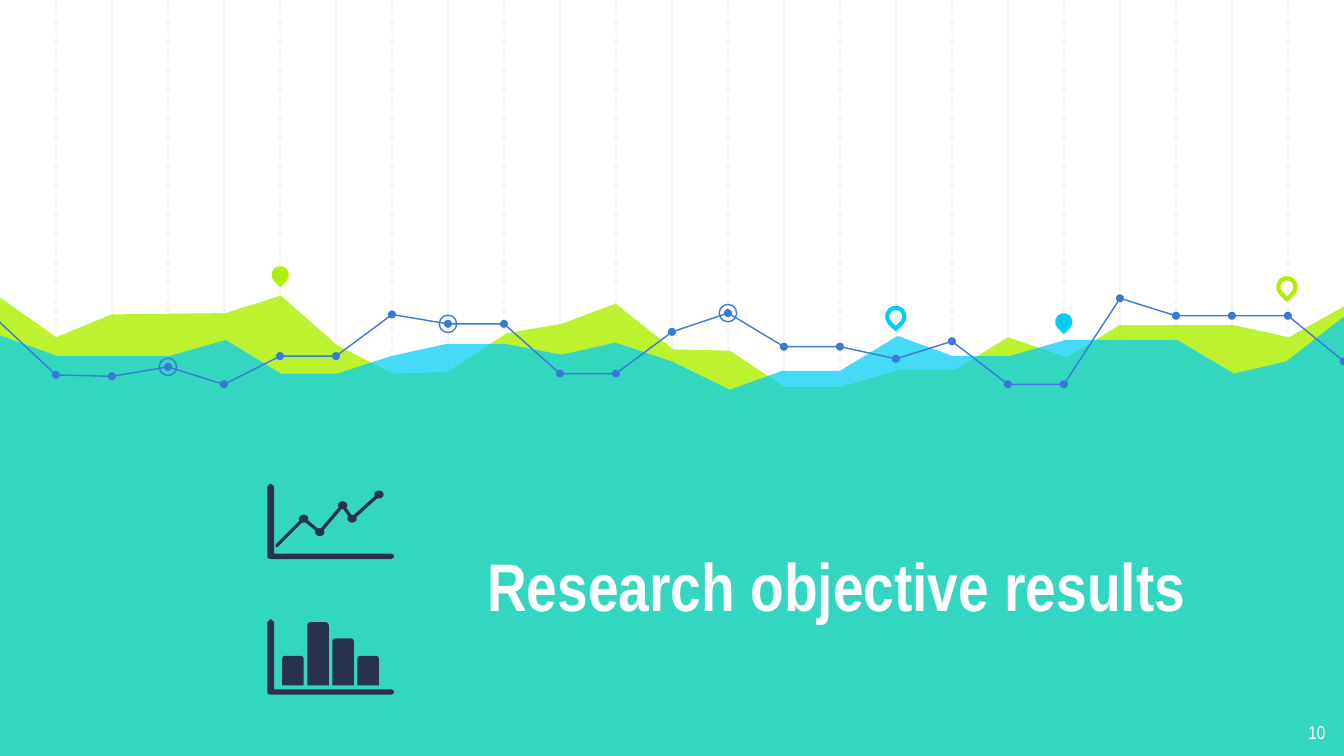
import lxml.etree
import pptx
import pptx.dml.color
import pptx.enum.dml
import pptx.enum.shapes
import pptx.enum.text
import pptx.oxml.ns
import pptx.util

Inches = pptx.util.Inches
Pt = pptx.util.Pt
qn = pptx.oxml.ns.qn
KIND = pptx.enum.shapes.MSO_SHAPE
LIME, CYAN, BLUE, NAVY = "AFF000", "00CEF6", "3C78D8", "28324A"

deck = pptx.Presentation()
deck.slide_width = Inches(10)
deck.slide_height = Inches(10 * 9 / 16)
slide = deck.slides.add_slide(deck.slide_layouts[6])
shapes = slide.shapes


def color(text):
    return pptx.dml.color.RGBColor.from_string(text)


def paint(shape, fill=None, line=None, width=0.75):
    shape.shadow.inherit = False
    if fill:
        shape.fill.solid()
        shape.fill.fore_color.rgb = color(fill)
    else:
        shape.fill.background()
    if line:
        shape.line.color.rgb = color(line)
        shape.line.width = Pt(width)
    else:
        shape.line.fill.background()
    return shape


step = 5 / 12
base = 5.65

for first, dash in ((2, False), (1, True)):
    for i in range(first, 24, 2):
        x = Inches(i * step)
        grid = shapes.add_connector(pptx.enum.shapes.MSO_CONNECTOR.STRAIGHT, x, 0, x, Inches(base))
        grid.line.color.rgb = color("F3F3F3")
        grid.line.width = Pt(0.75)
        if dash:
            grid.line.dash_style = pptx.enum.dml.MSO_LINE.DASH
        lxml.etree.SubElement(grid._element.spPr, qn("a:effectLst"))

lime = [(-0.02, 2.2), (0.42, 2.51), (0.83, 2.34), (1.68, 2.33), (2.09, 2.2), (2.51, 2.57),
        (2.92, 2.78), (3.33, 2.77), (3.77, 2.48), (4.18, 2.41), (4.58, 2.26), (5.01, 2.6),
        (5.43, 2.61), (5.84, 2.88), (6.26, 2.88), (6.7, 2.75), (7.11, 2.75), (7.5, 2.51),
        (7.94, 2.66), (8.33, 2.42), (9.18, 2.42), (9.59, 2.51), (10.02, 2.27)]
cyan = [(-0.02, 2.49), (0.43, 2.65), (1.26, 2.65), (1.68, 2.53), (2.09, 2.78), (2.51, 2.78),
        (2.91, 2.65), (3.32, 2.56), (3.76, 2.56), (4.18, 2.64), (4.58, 2.55), (5, 2.69),
        (5.43, 2.9), (5.82, 2.76), (6.25, 2.76), (6.68, 2.5), (7.09, 2.65), (7.51, 2.65),
        (7.93, 2.53), (8.76, 2.53), (9.18, 2.78), (9.57, 2.69), (10.02, 2.34)]
floor = [(10.04, 5.67), (-0.03, 5.67)]

levels = [2.79, 2.8, 2.73, 2.86, 2.65, 2.65, 2.34, 2.41, 2.41, 2.78, 2.78, 2.47,
          2.33, 2.58, 2.58, 2.67, 2.54, 2.86, 2.86, 2.22, 2.35, 2.35, 2.35, 2.69]
trend = [(-0.01, 2.39)] + [(i * step, y) for i, y in enumerate(levels, 1)]

axis = [(0.02, 0), (0, 0.02), (0, 0.55), (0.02, 0.56), (0.92, 0.56), (0.94, 0.55),
        (0.94, 0.53), (0.92, 0.52), (0.05, 0.52), (0.05, 0.02), (0.03, 0)]
graph = [(2.06, 4.06), (2.26, 3.86), (2.38, 3.96), (2.55, 3.76), (2.62, 3.86), (2.82, 3.68)]

paths = [(lime + floor, LIME, None, 0, 82), (cyan + floor, CYAN, None, 0, 73)]
for start, end in ((0, 11), (11, 20), (20, 24)):
    paths.append((trend[start:end + 1], None, BLUE, 0.75, 100))
for top in (3.6, 4.61):
    paths.append(([(1.99 + x, top + y) for x, y in axis], NAVY, None, 0, 100))
paths.append((graph, None, NAVY, 1.75, 100))

for points, fill, line, width, alpha in paths:
    spots = [(Inches(x), Inches(y)) for x, y in points]
    pen = shapes.build_freeform(*spots[0])
    pen.add_line_segments(spots[1:], close=fill is not None)
    form = paint(pen.convert_to_shape(), fill, line, width)
    if alpha < 100:
        tint = form._element.spPr.find(qn("a:solidFill"))[0]
        lxml.etree.SubElement(tint, qn("a:alpha"), val=str(alpha * 1000))
    if line == NAVY:
        edge = form.line._get_or_add_ln()
        edge.set("cap", "rnd")
        lxml.etree.SubElement(edge, qn("a:round"))

dots = [(x, y, 0.06, 0.06, BLUE, None) for x, y in trend[1:]]
dots += [(*trend[i], 0.13, 0.13, None, BLUE) for i in (3, 8, 13)]
dots += [(x, y, 0.07, 0.06, NAVY, None) for x, y in graph[1:]]
for x, y, wide, high, fill, line in dots:
    dot = shapes.add_shape(KIND.OVAL, Inches(x - wide / 2), Inches(y - high / 2),
                           Inches(wide), Inches(high))
    paint(dot, fill, line)

for x, y, fill, line in ((2.02, 1.98, LIME, None), (6.6, 2.29, None, CYAN),
                         (7.85, 2.33, CYAN, None), (9.51, 2.07, None, LIME)):
    pin = shapes.add_shape(KIND.TEAR, Inches(x), Inches(y), Inches(0.13), Inches(0.13))
    pin.rotation = 135
    paint(pin, fill, line, 2.25)

for i, high in enumerate((0.22, 0.47, 0.35, 0.22)):
    bar = shapes.add_shape(KIND.ROUND_2_SAME_RECTANGLE, Inches(2.1 + i * 0.56 / 3),
                           Inches(5.1 - high), Inches(0.16), Inches(high))
    bar.adjustments[0] = 0.14
    paint(bar, NAVY)

ANCHOR = pptx.enum.text.MSO_ANCHOR
for text, x, y, wide, high, size, bold, anchor in (
        ("Research objective results", 3.22, 3.48, 5.7, 1.27, 36, True, ANCHOR.BOTTOM),
        ("10", 9.36, 5.28, 0.6, 0.35, 10, False, ANCHOR.TOP)):
    frame = shapes.add_textbox(Inches(x), Inches(y), Inches(wide), Inches(high)).text_frame
    frame.word_wrap = True
    frame.vertical_anchor = anchor
    frame.margin_left = frame.margin_right = Inches(0.1)
    frame.margin_top = frame.margin_bottom = Inches(0.1)
    para = frame.paragraphs[0]
    para.text = text
    para.alignment = pptx.enum.text.PP_ALIGN.RIGHT
    para.font.name = "Arial Narrow"
    para.font.size = Pt(size)
    para.font.bold = bold
    para.font.color.rgb = color("FFFFFF")

deck.save("out.pptx")
